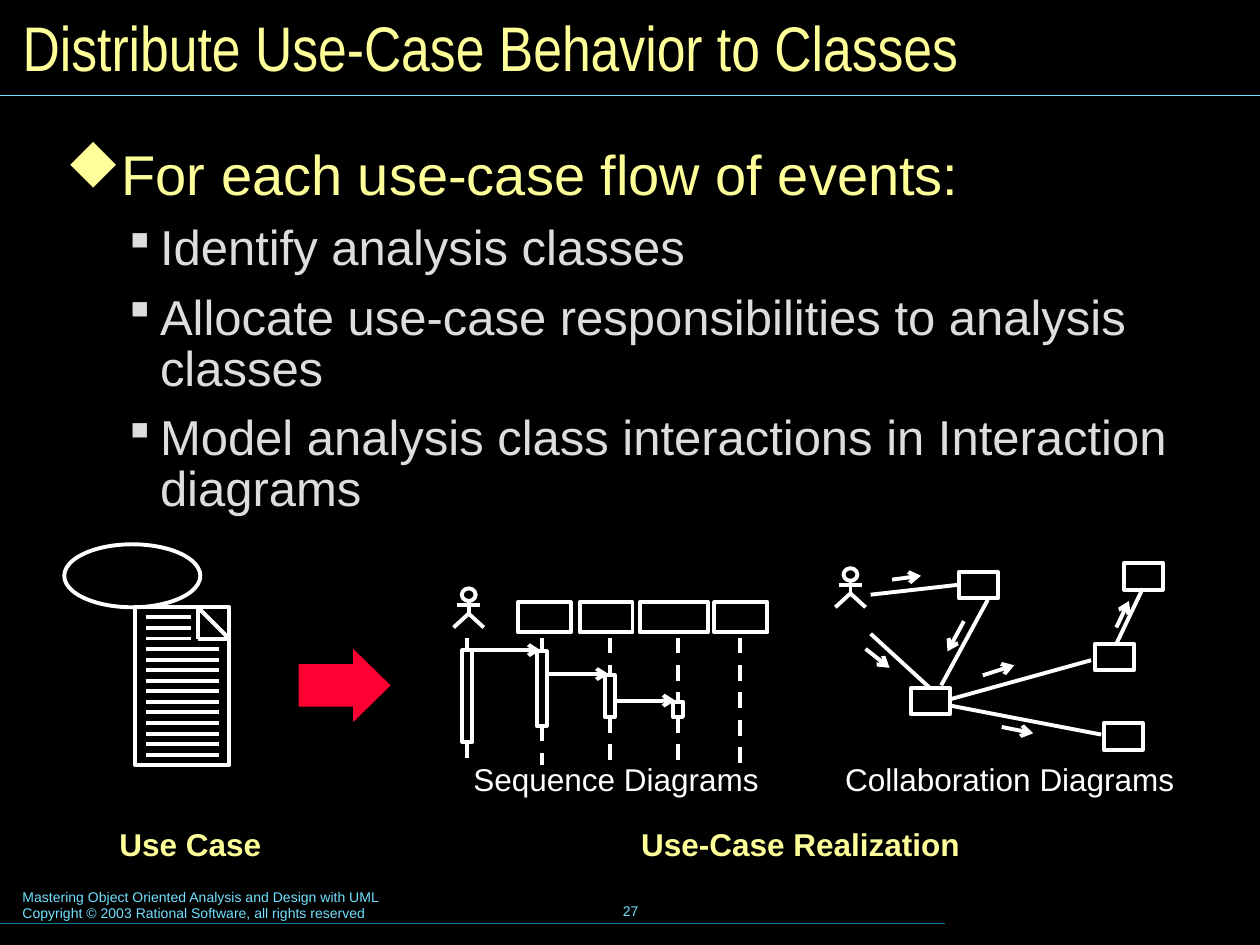
from lxml.etree import SubElement
from pptx import Presentation
from pptx.dml.color import RGBColor
from pptx.enum.dml import MSO_LINE
from pptx.enum.shapes import MSO_CONNECTOR, MSO_SHAPE
from pptx.enum.text import MSO_ANCHOR, MSO_AUTO_SIZE, PP_ALIGN
from pptx.oxml.ns import qn
from pptx.util import Cm, Pt

BLACK, WHITE, GRAY = "000000", "FFFFFF", "DDDDDD"
YELLOW, CYAN, TEAL, RED = "FFFF99", "73E1FF", "007E9F", "FF0033"
# Wingdings codes for the bullet symbols
DIAMOND, SMALL_SQUARE = "u", "§"


def color(hex_string):
    return RGBColor.from_string(hex_string)


def inches(value):
    return Cm(value * 2.54)


class Sketch:
    """Holds the drawing style and the current slide; lengths are in inches."""

    font = "Arial"
    stroke = 2.25

    def __init__(self, slide):
        self.slide = slide
        self.shapes = slide.shapes

    def outline(self, shape):
        shape.shadow.inherit = False
        shape.fill.background()
        shape.line.color.rgb = color(WHITE)
        shape.line.width = Pt(self.stroke)

    def box(self, left, top, width, height, kind=MSO_SHAPE.RECTANGLE):
        shape = self.shapes.add_shape(kind, *map(inches, (left, top, width, height)))
        self.outline(shape)
        return shape

    def line(self, x1, y1, x2, y2, ink=WHITE, width=stroke, arrow=False, dashed=False):
        connector = self.shapes.add_connector(
            MSO_CONNECTOR.STRAIGHT, *map(inches, (x1, y1, x2, y2)))
        connector.line.color.rgb = color(ink)
        connector.line.width = Pt(width)
        if dashed:
            connector.line.dash_style = MSO_LINE.DASH
        properties = connector.element.spPr
        if arrow:
            SubElement(properties.find(qn("a:ln")), qn("a:tailEnd"), type="arrow")
        SubElement(properties, qn("a:effectLst"))

    def actor(self, center, top):
        self.box(center - 0.055, top, 0.11, 0.1, MSO_SHAPE.OVAL)
        self.line(center, top + 0.1, center, top + 0.2)
        self.line(center - 0.09, top + 0.13, center + 0.09, top + 0.13)
        hip, foot = inches(top + 0.2), inches(top + 0.31)
        legs = self.shapes.build_freeform(inches(center - 0.12), foot)
        legs.add_line_segments(
            [(inches(center), hip), (inches(center + 0.12), foot)], close=False)
        self.outline(legs.convert_to_shape())

    def style(self, paragraph, size, ink, bold=False, font=font):
        for run in paragraph.runs:
            run.font.name = font
            run.font.size = Pt(size)
            run.font.bold = bold
            run.font.color.rgb = color(ink)

    def frame(self, shape, inset=0.1, anchor=MSO_ANCHOR.TOP):
        frame = shape.text_frame
        frame.word_wrap = True
        frame.auto_size = MSO_AUTO_SIZE.NONE
        frame.vertical_anchor = anchor
        frame.margin_left = frame.margin_right = inches(inset)
        frame.margin_top = frame.margin_bottom = inches(inset / 2)
        return frame

    def title(self, text, left, top, width, height):
        title = self.shapes.title
        title.left, title.top, title.width, title.height = map(
            inches, (left, top, width, height))
        frame = self.frame(title, anchor=MSO_ANCHOR.MIDDLE)
        frame.text = text
        frame.paragraphs[0].alignment = PP_ALIGN.LEFT
        self.style(frame.paragraphs[0], 36, YELLOW, font="Arial Narrow")

    def text(self, text, left, top, width, height, size=18, ink=WHITE, bold=False,
             align=PP_ALIGN.LEFT, anchor=MSO_ANCHOR.TOP):
        label = self.shapes.add_textbox(*map(inches, (left, top, width, height)))
        frame = self.frame(label, anchor=anchor)
        frame.text = text
        for paragraph in frame.paragraphs:
            paragraph.alignment = align
            self.style(paragraph, size, ink, bold)

    def bullet(self, paragraph, mark, ink, left, hanging):
        properties = paragraph._p.get_or_add_pPr()
        properties.set("marL", str(inches(left)))
        properties.set("indent", str(-inches(hanging)))
        bullet_color = SubElement(properties, qn("a:buClr"))
        SubElement(bullet_color, qn("a:srgbClr"), val=ink)
        SubElement(properties, qn("a:buFont"), typeface="Wingdings",
                   pitchFamily="2", charset="2")
        SubElement(properties, qn("a:buChar"), char=mark)

    def outline_list(self, heading, items, left, top, width, height):
        body = self.shapes.add_textbox(*map(inches, (left, top, width, height)))
        frame = self.frame(body, inset=0.12)
        frame.text = "\n".join([heading, *items])
        first, *rest = frame.paragraphs
        self.bullet(first, DIAMOND, YELLOW, 0.37, 0.37)
        first.line_spacing = 0.8
        self.style(first, 32, YELLOW)
        for paragraph in rest:
            paragraph.level = 1
            self.bullet(paragraph, SMALL_SQUARE, GRAY, 0.75, 0.25)
            paragraph.line_spacing = 0.87
            paragraph.space_before = Pt(10.5)
            self.style(paragraph, 28, GRAY)


def main():
    presentation = Presentation()
    presentation.slide_width, presentation.slide_height = inches(10), inches(7.5)
    slide = presentation.slides.add_slide(presentation.slide_layouts[5])
    slide.background.fill.solid()
    slide.background.fill.fore_color.rgb = color(BLACK)
    sketch = Sketch(slide)

    # Title, footer and rules
    sketch.title("Distribute Use-Case Behavior to Classes", 0.08, 0.08, 9.84, 0.58)
    sketch.line(0, 0.76, 10, 0.76, CYAN, 0.75)
    sketch.line(0, 7.33, 7.5, 7.33, TEAL, 0.75)
    sketch.text("Mastering Object Oriented Analysis and Design with UML\n"
                "Copyright © 2003 Rational Software, all rights reserved",
                0.08, 7, 5.1, 0.37, 8, CYAN)
    sketch.text("27", 3.42, 6.98, 3.17, 0.5, 8, CYAN,
                align=PP_ALIGN.CENTER, anchor=MSO_ANCHOR.MIDDLE)

    # Steps
    sketch.outline_list("For each use-case flow of events:", [
        "Identify analysis classes",
        "Allocate use-case responsibilities to analysis classes",
        "Model analysis class interactions in Interaction diagrams",
    ], 0.4, 1.15, 9.29, 5.52)

    # Use case: oval and page with a folded corner
    sketch.box(0.51, 4.32, 1.08, 0.5, MSO_SHAPE.OVAL)
    sketch.box(1.07, 4.82, 0.75, 1.25)
    sketch.line(1.57, 4.82, 1.82, 5.07)
    sketch.line(1.57, 4.82, 1.57, 5.07)
    sketch.line(1.82, 5.07, 1.57, 5.07)
    row_gap = (5.99 - 4.9) / 13
    for row in range(14):
        y = 4.9 + row * row_gap
        sketch.line(1.16, y, 1.52 if row < 3 else 1.74, y)
    sketch.text("Use Case", 0.51, 6.5, 2, 0.4, ink=YELLOW, bold=True,
                align=PP_ALIGN.CENTER)

    # Arrow from use case to realization
    transition = sketch.box(2.37, 5.15, 0.73, 0.58, MSO_SHAPE.RIGHT_ARROW)
    transition.adjustments[0], transition.adjustments[1] = 0.58, 0.51
    transition.fill.solid()
    transition.fill.fore_color.rgb = color(RED)
    transition.line.fill.background()
    sketch.text("Use-Case Realization", 4.99, 6.5, 2.91, 0.4, ink=YELLOW, bold=True)

    # Sequence diagram
    sketch.text("Sequence Diagrams", 3.52, 5.98, 2.74, 0.4, align=PP_ALIGN.CENTER)
    sketch.actor(3.72, 4.67)
    for left, width in [(4.11, 0.42), (4.6, 0.42), (5.08, 0.54), (5.67, 0.42)]:
        sketch.box(left, 4.78, width, 0.24)
    life_top, life_end = 5.06, 6.07
    activations = [(3.71, 5.16, 5.89), (4.3, 5.17, 5.76), (4.84, 5.36, 5.69),
                   (5.38, 5.57, 5.69)]
    for x, start, end in activations:
        sketch.line(x, life_top, x, start, dashed=True)
        sketch.line(x, end, x, life_end, dashed=True)
        sketch.box(x - 0.04, start, 0.08, end - start)
    sketch.line(5.87, life_top, 5.87, life_end, dashed=True)
    for x1, x2, y in [(3.71, 4.29, 5.16), (4.33, 4.83, 5.35), (4.9, 5.36, 5.56)]:
        sketch.line(x1, y, x2, y, arrow=True)

    # Collaboration diagram
    sketch.text("Collaboration Diagrams", 6.61, 5.98, 2.82, 0.4)
    sketch.actor(6.75, 4.51)
    for left, top in [(7.61, 4.54), (7.23, 5.46), (8.76, 5.74), (8.69, 5.11),
                      (8.92, 4.47)]:
        sketch.box(left, top, 0.31, 0.21)
    links = [(6.91, 5.03, 7.38, 5.46), (6.91, 4.72, 7.62, 4.64),
             (7.54, 5.6, 8.74, 5.83), (7.54, 5.55, 8.66, 5.24),
             (8.86, 5.11, 9.07, 4.67), (7.84, 4.76, 7.47, 5.44)]
    messages = [(6.87, 5.15, 7.06, 5.3), (7.08, 4.6, 7.31, 4.57),
                (7.95, 5.77, 8.2, 5.82), (7.8, 5.36, 8.05, 5.28),
                (8.86, 4.98, 8.96, 4.77), (7.65, 4.93, 7.52, 5.17)]
    for link, message in zip(links, messages):
        sketch.line(*link)
        sketch.line(*message, arrow=True)

    presentation.save("out.pptx")


if __name__ == "__main__":
    main()
